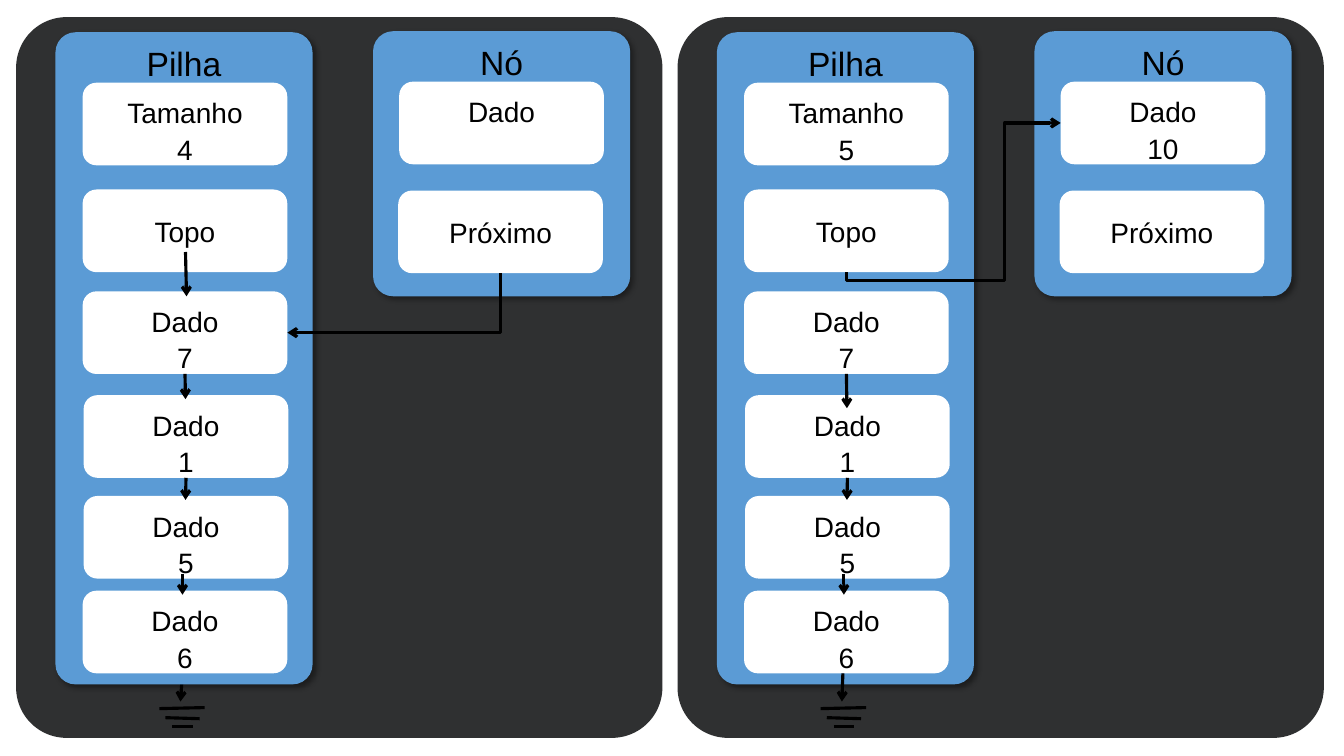
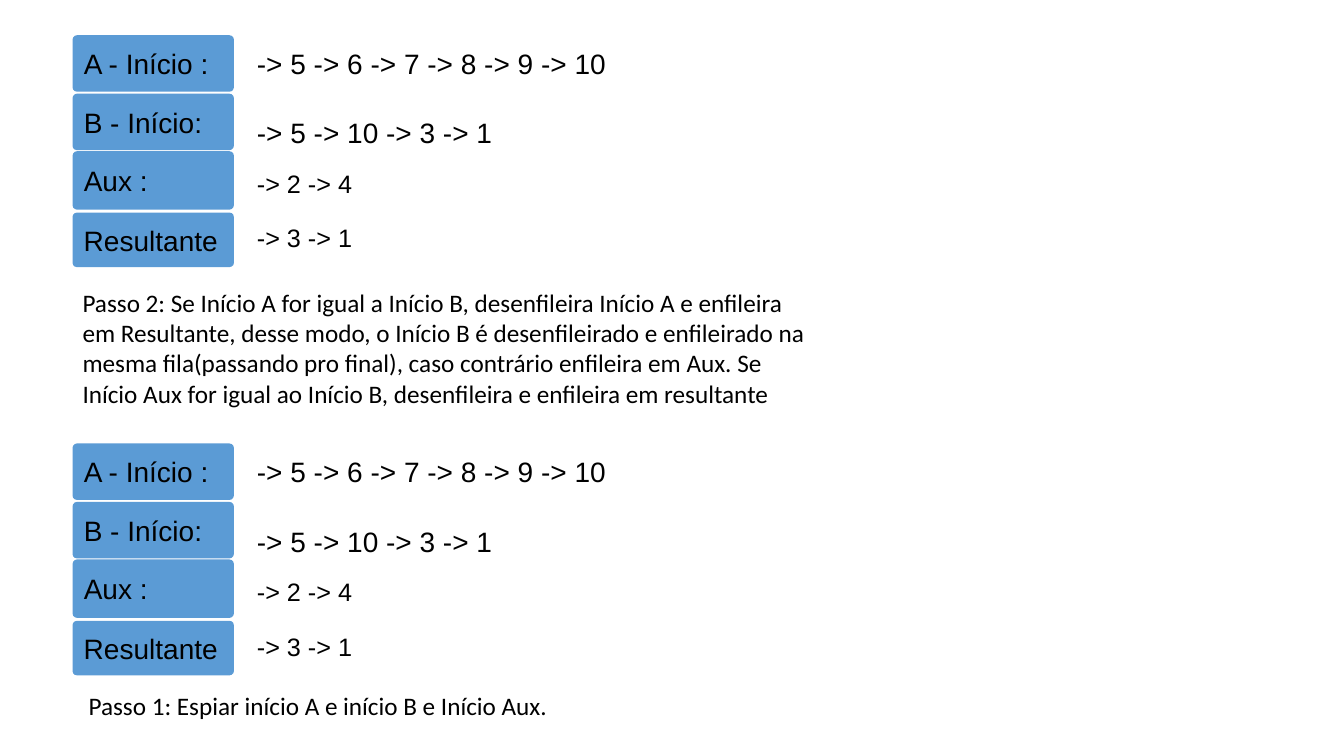
from lxml.etree import SubElement
from pptx import Presentation
from pptx.dml.color import RGBColor
from pptx.enum.shapes import MSO_CONNECTOR as LINK, MSO_SHAPE as SHAPE
from pptx.enum.text import MSO_ANCHOR as ANCHOR, PP_ALIGN as ALIGN
from pptx.oxml.ns import qn
from pptx.util import Pt

PX = 9144  # 100 px to the inch
COLORS = {"panel": "2F3031", "block": "5B9BD5", "cell": "FFFFFF", "ink": "000000"}
BOTTOM, LEFT, RIGHT = 2, 1, 3
SOFT_CORNER = 0.078


class Deck:
    """Holds the style and the current slide."""

    def __init__(self, width, height):
        self.prs = Presentation()
        self.prs.slide_width, self.prs.slide_height = width * PX, height * PX
        self.slide = None

    def new_slide(self):
        self.slide = self.prs.slides.add_slide(self.prs.slide_layouts[6])

    def fill_text(self, shape, lines, size, align, anchor, insets, font="Arial"):
        frame = shape.text_frame
        frame.word_wrap = True
        frame.vertical_anchor = anchor
        frame.margin_left = frame.margin_right = insets[0] * PX
        frame.margin_top = frame.margin_bottom = insets[1] * PX
        for i, line in enumerate(lines):
            paragraph = frame.add_paragraph() if i else frame.paragraphs[0]
            paragraph.alignment = align
            if i:
                paragraph.space_before = Pt(2)
            run = paragraph.add_run()
            run.text = line
            run.font.size, run.font.name = Pt(size), font
            run.font.color.rgb = RGBColor.from_string(COLORS["ink"])

    def box(self, x, y, w, h, color, corner=SOFT_CORNER):
        shape = self.slide.shapes.add_shape(
            SHAPE.ROUNDED_RECTANGLE, x * PX, y * PX, w * PX, h * PX)
        shape.adjustments[0] = corner
        shape.fill.solid()
        shape.fill.fore_color.rgb = RGBColor.from_string(COLORS[color])
        shape.line.fill.background()
        shape.shadow.inherit = False
        return shape

    def block(self, x, y, h, title):
        """Titled blue block with a soft shadow."""
        shape = self.box(x, y, 255, h, "block")
        effects = shape._element.spPr.find(qn("a:effectLst"))
        shadow = SubElement(effects, qn("a:outerShdw"), blurRad="50800", dist="38100",
                            dir="2700000", algn="tl", rotWithShape="0")
        ink = SubElement(shadow, qn("a:srgbClr"), val=COLORS["ink"])
        SubElement(ink, qn("a:alpha"), val="40000")
        self.fill_text(shape, [title], 24, ALIGN.CENTER, ANCHOR.TOP, (10, 5))

    def cell(self, x, y, lines, anchor=ANCHOR.TOP):
        shape = self.box(x, y, 203, 82, "cell", 0.1667)
        self.fill_text(shape, lines, 20, ALIGN.CENTER, anchor, (5, 9))
        return shape

    def label(self, x, y, w, h, text):
        self.fill_text(self.box(x, y, w, h, "block"), [text], 20,
                       ALIGN.LEFT, ANCHOR.MIDDLE, (10, 0))

    def text(self, x, y, w, h, text, size, font="Arial"):
        area = self.slide.shapes.add_textbox(x * PX, y * PX, w * PX, h * PX)
        self.fill_text(area, [text], size, ALIGN.LEFT, ANCHOR.TOP, (10, 5), font)

    def line(self, x1, y1, x2, y2, arrow=False, kind=LINK.STRAIGHT):
        link = self.slide.shapes.add_connector(kind, x1 * PX, y1 * PX, x2 * PX, y2 * PX)
        link.line.color.rgb = RGBColor.from_string(COLORS["ink"])
        link.line.width = Pt(2.25)
        props = link._element.spPr
        if arrow:
            SubElement(props.find(qn("a:ln")), qn("a:tailEnd"), type="arrow")
        SubElement(props, qn("a:effectLst"))
        return link

    def elbow(self, source, target, side, preset, flip="0", bends=()):
        """Arrow that leaves the bottom of source and enters a side of target."""
        link = self.line(0, 0, 0, 0, True, LINK.ELBOW)
        link.begin_connect(source, BOTTOM)
        link.end_connect(target, side)
        mid_x, mid_y = (link.begin_x + link.end_x) // 2, (link.begin_y + link.end_y) // 2
        # A quarter turn swaps width and height around the same centre
        w, h = abs(link.end_y - link.begin_y), abs(link.end_x - link.begin_x)
        link.left, link.top, link.width, link.height = mid_x - w // 2, mid_y - h // 2, w, h
        props = link._element.spPr
        frame, geometry = props.find(qn("a:xfrm")), props.find(qn("a:prstGeom"))
        frame.set("rot", "5400000")
        frame.set("flipH", flip)
        frame.set("flipV", flip)
        geometry.set("prst", preset)
        guides = geometry.find(qn("a:avLst"))
        for i, bend in enumerate(bends, 1):
            SubElement(guides, qn("a:gd"), name=f"adj{i}", fmla=f"val {bend}")


def stack_panel(deck, dx, size, node_value, pushed):
    """Stack and node side by side, before or after the push."""
    def end_arrow():
        deck.line(dx + (180 if pushed else 181), 668, dx + 179, 696, True)

    deck.box(dx + 16, 17, 641, 715, "panel")
    # End of the list
    for x1, y1, x2, y2 in [(158, 703, 203, 702), (164, 712, 198, 713), (171, 721, 191, 721)]:
        deck.line(dx + x1, y1, dx + x2, y2)
    if not pushed:
        end_arrow()

    # Stack
    deck.block(dx + 55, 32, 647, "Pilha")
    deck.cell(dx + 82, 82, ["Tamanho", size])
    top = deck.cell(dx + 82, 188, ["Topo"], ANCHOR.MIDDLE)
    seven, one, five, six = [
        deck.cell(dx + x, y, ["Dado", value])
        for x, y, value in [(82, 289, "7"), (83, 392, "1"), (83, 492, "5"), (82, 586, "6")]]
    if not pushed:
        deck.line(dx + 184, 250, dx + 185, 294, True)
    deck.line(dx + 184, 371, dx + 184, 405 if pushed else 396, True).begin_connect(seven, BOTTOM)
    deck.line(dx + 184, 475, dx + 184, 496, True).begin_connect(one, BOTTOM)
    deck.line(dx + 181, 569, dx + 181, 590, True)
    if pushed:
        end_arrow()

    # Node
    deck.block(dx + 370, 31, 263, "Nó")
    node = deck.cell(dx + 396, 81, ["Dado"] + node_value)
    following = deck.cell(dx + 395, 189, ["Próximo"], ANCHOR.MIDDLE)
    if pushed:
        deck.elbow(top, node, LEFT, "bentConnector4", "1", (-5500, 73900))
    else:
        deck.elbow(following, seven, RIGHT, "bentConnector2")


def queue_state(deck, dy):
    """Four labelled queues with their contents."""
    rows = [("A - Início :", 35, 56, "-> 5 -> 6 -> 7 -> 8 -> 9 -> 10", 41, 20),
            ("B - Início:", 93, 56, "-> 5 -> 10 -> 3 -> 1", 110, 20),
            ("Aux :", 150, 58, "-> 2 -> 4", 162, 18),
            ("Resultante", 211, 54, "-> 3 -> 1", 216, 18)]
    for name, y, h, items, items_y, size in rows:
        deck.label(72, y + dy, 160, h, name)
        deck.text(245, items_y + dy, 604, 44, items, size)


def main():
    deck = Deck(1333, 750)

    # Pushing a node on the stack
    deck.new_slide()
    stack_panel(deck, 0, "4", [], pushed=False)
    stack_panel(deck, 656, "5", ["10"], pushed=True)

    # Comparing queues
    deck.new_slide()
    for dy in (0, 405):
        queue_state(deck, dy)
    deck.text(72, 280, 751, 131,
              "Passo 2: Se Início A for igual a Início B, desenfileira Início A e enfileira em "
              "Resultante, desse modo, o Início B é desenfileirado e enfileirado na mesma "
              "fila(passando pro final), caso contrário enfileira em Aux. Se Início Aux for igual "
              "ao Início B, desenfileira e enfileira em resultante", 18, "Calibri")
    deck.text(78, 680, 488, 40, "Passo 1: Espiar início A e início B e Início Aux.", 18, "Calibri")

    deck.prs.save("out.pptx")


if __name__ == "__main__":
    main()
